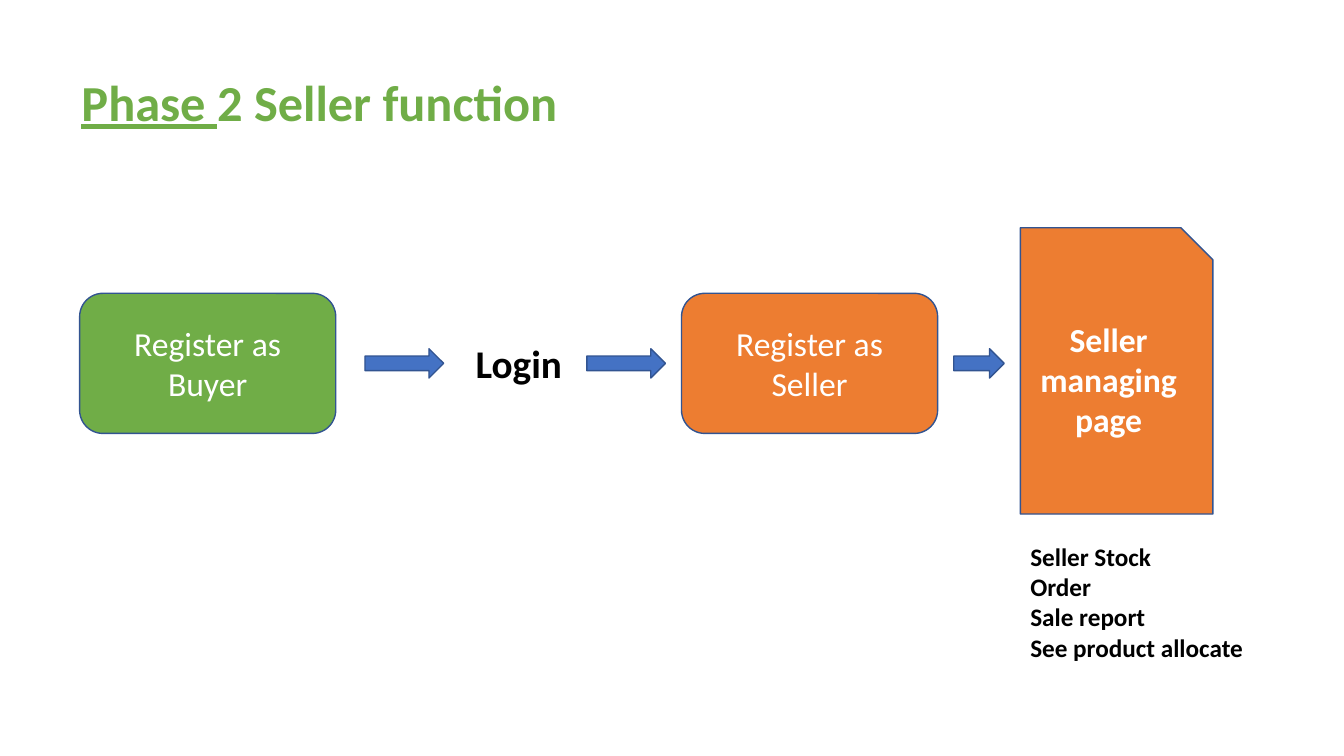
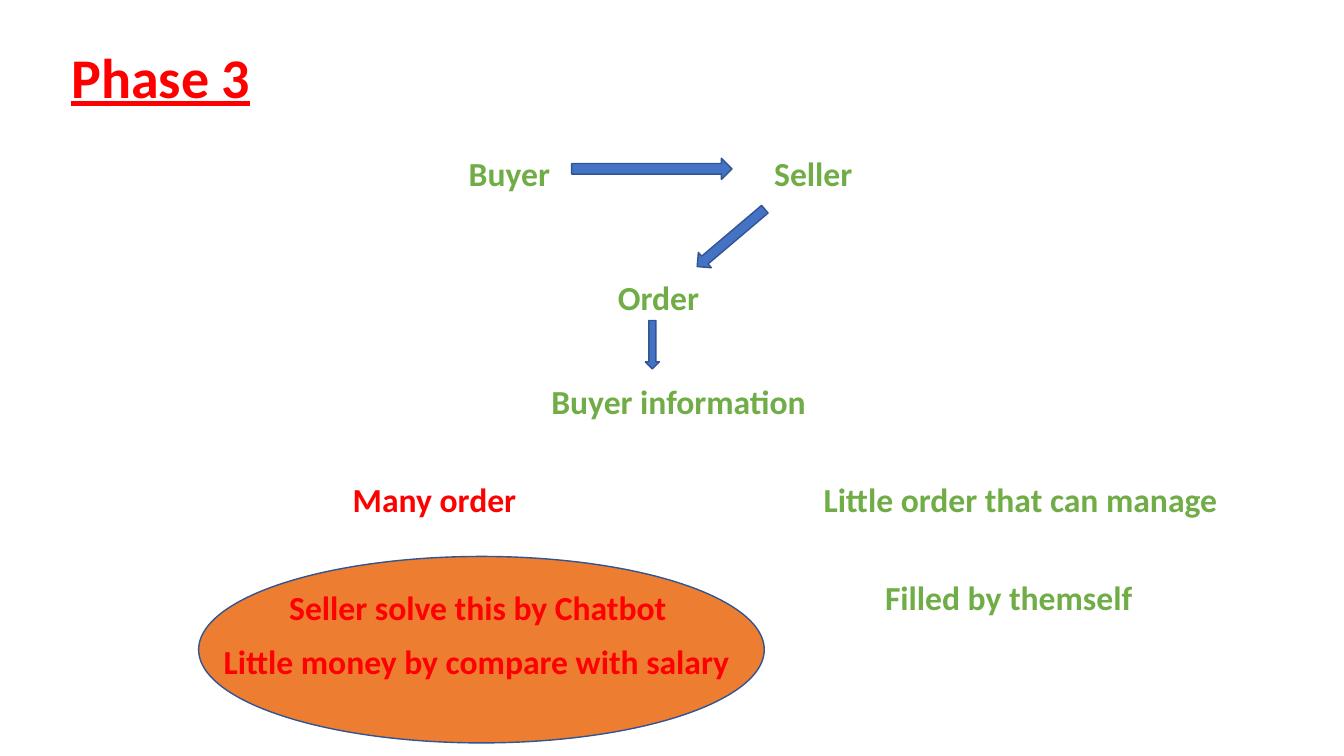
from dataclasses import dataclass
from typing import Optional

from pptx import Presentation
from pptx.dml.color import RGBColor
from pptx.enum.shapes import MSO_SHAPE
from pptx.enum.text import MSO_ANCHOR, MSO_AUTO_SIZE, PP_ALIGN
from pptx.shapes.autoshape import Shape
from pptx.slide import Slide
from pptx.text.text import TextFrame
from pptx.util import Inches, Pt

GREEN = RGBColor(0x70, 0xAD, 0x47)
ORANGE = RGBColor(0xED, 0x7D, 0x31)
BLUE = RGBColor(0x44, 0x72, 0xC4)
OUTLINE = RGBColor(0x32, 0x54, 0x91)
RED = RGBColor(0xFF, 0x00, 0x00)
BLACK = RGBColor(0x00, 0x00, 0x00)
WHITE = RGBColor(0xFF, 0xFF, 0xFF)
FONT = "Calibri"


@dataclass(frozen=True)
class Box:
    left: float
    top: float
    width: float
    height: float


@dataclass(frozen=True)
class Label:
    text: str
    box: Box
    color: RGBColor = GREEN
    size: int = 24
    wrap: bool = False
    underlined: str = ""


@dataclass(frozen=True)
class Node:
    kind: MSO_SHAPE
    box: Box
    fill: RGBColor = ORANGE
    text: Optional[str] = None
    bold: bool = False


@dataclass(frozen=True)
class Arrow:
    box: Box
    rotation: float = 0


def write_text(frame: TextFrame, text: str, *, size: int, color: RGBColor,
               bold: bool = True, align: PP_ALIGN = PP_ALIGN.LEFT,
               underlined: str = "") -> None:
    for index, line in enumerate(text.split("\n")):
        paragraph = frame.paragraphs[0] if index == 0 else frame.add_paragraph()
        paragraph.alignment = align
        pieces = ((underlined, True), (line.removeprefix(underlined), False))
        for piece, underline in pieces:
            if piece:
                run = paragraph.add_run()
                run.text = piece
                font = run.font
                font.name, font.size = FONT, Pt(size)
                font.bold, font.underline = bold, underline
                font.color.rgb = color


def place(box: Box) -> tuple[int, int, int, int]:
    return (Inches(box.left), Inches(box.top),
            Inches(box.width), Inches(box.height))


def draw_label(slide: Slide, label: Label) -> None:
    frame = slide.shapes.add_textbox(*place(label.box)).text_frame
    frame.word_wrap = label.wrap
    frame.auto_size = MSO_AUTO_SIZE.SHAPE_TO_FIT_TEXT
    write_text(frame, label.text, size=label.size, color=label.color,
               underlined=label.underlined)


def draw_node(slide: Slide, node: Node) -> Shape:
    shape = slide.shapes.add_shape(node.kind, *place(node.box))
    shape.shadow.inherit = False
    shape.fill.solid()
    shape.fill.fore_color.rgb = node.fill
    shape.line.color.rgb = OUTLINE
    shape.line.width = Pt(1)
    if node.text:
        frame = shape.text_frame
        frame.word_wrap = True
        frame.vertical_anchor = MSO_ANCHOR.MIDDLE
        write_text(frame, node.text, size=24, color=WHITE, bold=node.bold,
                   align=PP_ALIGN.CENTER)
    return shape


def draw_arrow(slide: Slide, arrow: Arrow) -> None:
    shape = draw_node(slide, Node(MSO_SHAPE.RIGHT_ARROW, arrow.box, BLUE))
    shape.rotation = arrow.rotation


def build_slide(deck: Presentation, nodes: list[Node], labels: list[Label],
                arrows: list[Arrow]) -> None:
    slide = deck.slides.add_slide(deck.slide_layouts[6])
    for node in nodes:
        draw_node(slide, node)
    for label in labels:
        draw_label(slide, label)
    for arrow in arrows:
        draw_arrow(slide, arrow)


def build_seller_function(deck: Presentation) -> None:
    nodes = [
        Node(MSO_SHAPE.ROUNDED_RECTANGLE, Box(0.79, 2.91, 2.54, 1.39), GREEN,
             "Register as Buyer"),
        Node(MSO_SHAPE.ROUNDED_RECTANGLE, Box(6.76, 2.91, 2.54, 1.39),
             text="Register as Seller"),
        Node(MSO_SHAPE.SNIP_1_RECTANGLE, Box(10.12, 2.26, 1.91, 2.84),
             text="Seller managing page", bold=True),
    ]
    seller_pages = "\n".join(
        ("Seller Stock", "Order", "Sale report", "See product allocate"))
    labels = [
        Label("Phase 2 Seller function", Box(0.71, 0.66, 4.98, 0.71), size=36,
              underlined="Phase "),
        Label("Login", Box(4.62, 3.32, 1.07, 0.57), BLACK, 28),
        Label(seller_pages, Box(10.12, 5.32, 2.41, 1.31), BLACK, 18, wrap=True),
    ]
    arrows = [Arrow(Box(left, 3.46, width, 0.29))
              for left, width in ((3.62, 0.78), (5.82, 0.78), (9.46, 0.5))]
    build_slide(deck, nodes, labels, arrows)


def build_order_handling(deck: Presentation) -> None:
    nodes = [Node(MSO_SHAPE.OVAL, Box(1.97, 5.52, 5.61, 1.85))]
    labels = [Label("Phase 3", Box(0.61, 0.37, 2, 0.77), RED, 40,
                    underlined="Phase 3")]
    labels += [
        Label(text, Box(left, top, width, 0.5), color)
        for text, left, top, width, color in (
            ("Buyer", 4.55, 1.47, 1.02, GREEN),
            ("Seller", 7.58, 1.47, 0.99, GREEN),
            ("Order", 6.03, 2.7, 1.01, GREEN),
            ("Buyer information", 5.37, 3.73, 2.75, GREEN),
            ("Many order", 3.4, 4.7, 1.84, RED),
            ("Little order that can manage", 8.07, 4.7, 4.15, GREEN),
            ("Seller solve this by Chatbot", 2.77, 5.77, 3.98, RED),
            ("Little money by compare with salary", 2.12, 6.31, 5.27, RED),
            ("Filled by themself", 8.68, 5.67, 2.68, GREEN),
        )
    ]
    arrows = [
        Arrow(Box(5.67, 1.57, 1.59, 0.21)),
        Arrow(Box(6.81, 2.26, 0.88, 0.2), 139.7),
        Arrow(Box(6.23, 3.35, 0.48, 0.14), 90),
    ]
    build_slide(deck, nodes, labels, arrows)


def main() -> None:
    deck = Presentation()
    deck.slide_width, deck.slide_height = Inches(13.33), Inches(7.5)
    build_seller_function(deck)
    build_order_handling(deck)
    deck.save("out.pptx")


if __name__ == "__main__":
    main()
